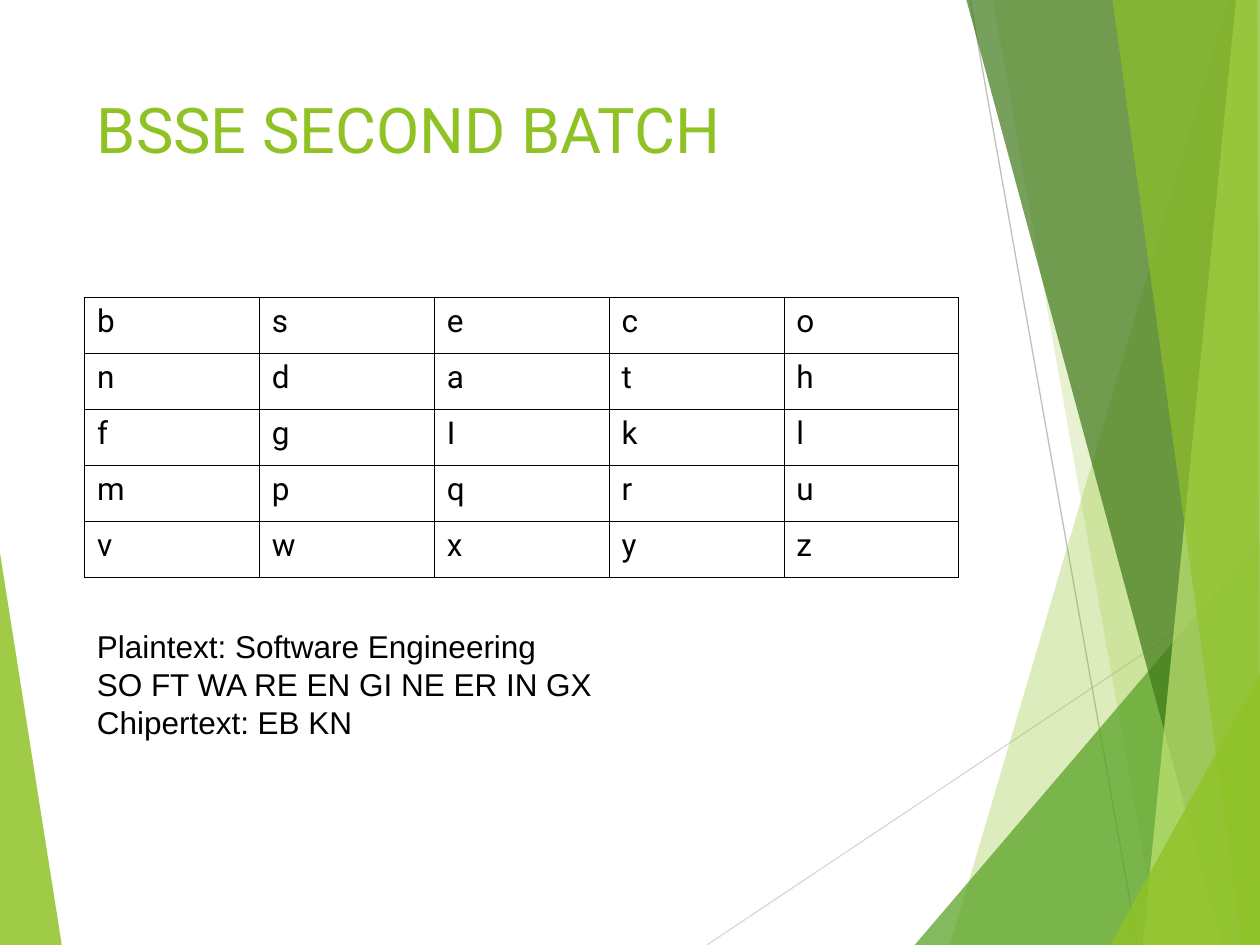
from pptx import Presentation
from pptx import util as u
from pptx.dml.color import RGBColor
from pptx.enum import shapes, text
from pptx.oxml import parse_xml
from pptx.oxml.ns import nsdecls, qn
from lxml import etree

THEME = {
    "lime": "90C226", "green": "54A021", "forest": "3F7819", "pale": "C0E474",
    "ink": "000000", "silver": "BFBFBF", "mist": "D9D9D9",
    "title_font": "Roboto", "body_font": "Arial",
    "title_size": 36, "body_size": 18, "hairline": 0.75, "border": 0.45,
}

deck = Presentation()
deck.slide_width, deck.slide_height = u.Inches(10), u.Inches(7.5)
page = deck.slides.add_slide(deck.slide_layouts[6])


def place(x, y):
    """Turn percentages of the slide's width and height into lengths."""
    return round(deck.slide_width * x / 100), round(deck.slide_height * y / 100)


def style_text(frame, font, size, color):
    frame.word_wrap = True
    for para in frame.paragraphs:
        para.alignment = text.PP_ALIGN.LEFT
        for span in para.runs:
            span.font.name = font
            span.font.size = u.Pt(size)
            span.font.color.rgb = RGBColor.from_string(THEME[color])


# Background facets, back to front: colour, opacity in percent, corners.
# The two thin lines lie just above the left wedge.
wedge = ("lime", 85, [(0, 58.53), (4.9, 100), (0, 100)])
rays = [("mist", (56.1, 100), (100, 60.93)), ("silver", (77, 0), (90.3, 100))]
facets = [
    ("lime", 30, [(97.5, 0), (75.4, 100), (100, 100), (100, 0)]),
    ("lime", 20, [(78.8, 0), (92, 100), (100, 100), (100, 0)]),
    ("green", 72, [(72.6, 100), (100, 57.2), (100, 100)]),
    ("forest", 70, [(76.7, 0), (97, 100), (100, 100), (100, 0)]),
    ("pale", 70, [(98.1, 0), (90.7, 100), (100, 100), (100, 0)]),
    ("lime", 65, [(88.3, 0), (98.6, 100), (100, 100), (99.8, 0)]),
    ("lime", 80, [(88.1, 100), (100, 71.33), (100, 100)]),
]
for order, (color, opacity, corners) in enumerate([wedge] + facets):
    points = [place(*corner) for corner in corners]
    builder = page.shapes.build_freeform(*points[0])
    builder.add_line_segments(points[1:], close=True)
    facet = builder.convert_to_shape()
    facet.shadow.inherit = False
    facet.line.fill.background()
    facet.fill.solid()
    facet.fill.fore_color.rgb = RGBColor.from_string(THEME[color])
    swatch = next(facet._element.spPr.iter(qn("a:srgbClr")))
    etree.SubElement(swatch, qn("a:alpha")).set("val", str(opacity * 1000))
    if order == 0:
        for shade, start, end in rays:
            ray = page.shapes.add_connector(
                shapes.MSO_CONNECTOR.STRAIGHT, *place(*start), *place(*end))
            ray.line.color.rgb = RGBColor.from_string(THEME[shade])
            ray.line.width = u.Pt(THEME["hairline"])
            etree.SubElement(ray._element.spPr, qn("a:effectLst"))

# Title
title = page.shapes.add_textbox(*place(6.7, 8.93), *place(69.4, 19.2))
title.text_frame.text = "BSSE SECOND BATCH"
style_text(title.text_frame, THEME["title_font"], THEME["title_size"], "lime")

# Cipher key square
key_rows = ["bseco", "ndath", "fgIkl", "mpqru", "vwxyz"]
column, row = place(13.88, 5.92)
table = page.shapes.add_table(
    5, 5, *place(6.7, 31.47), column * 5, row * 5).table
table.first_row = table.horz_banding = False
for line in table.columns:
    line.width = column
for line in table.rows:
    line.height = row
for r, letters in enumerate(key_rows):
    for c, letter in enumerate(letters):
        cell = table.cell(r, c)
        cell.text_frame.text = letter
        style_text(cell.text_frame, THEME["title_font"], THEME["body_size"], "ink")
        properties = cell._tc.get_or_add_tcPr()
        for side in "LRTB":
            properties.append(parse_xml(
                f'<a:ln{side} {nsdecls("a")} w="{u.Pt(THEME["border"])}"><a:solidFill>'
                f'<a:srgbClr val="{THEME["ink"]}"/></a:solidFill></a:ln{side}>'))
        cell.fill.background()

# Worked example
example = page.shapes.add_textbox(*place(6.7, 65.73), *place(66.2, 13.33))
example.text_frame.text = "\n".join([
    "Plaintext: Software Engineering",
    "SO FT WA RE EN GI NE ER IN GX",
    "Chipertext: EB KN",
])
style_text(example.text_frame, THEME["body_font"], THEME["body_size"], "ink")
example.text_frame.auto_size = text.MSO_AUTO_SIZE.SHAPE_TO_FIT_TEXT

deck.save("out.pptx")
